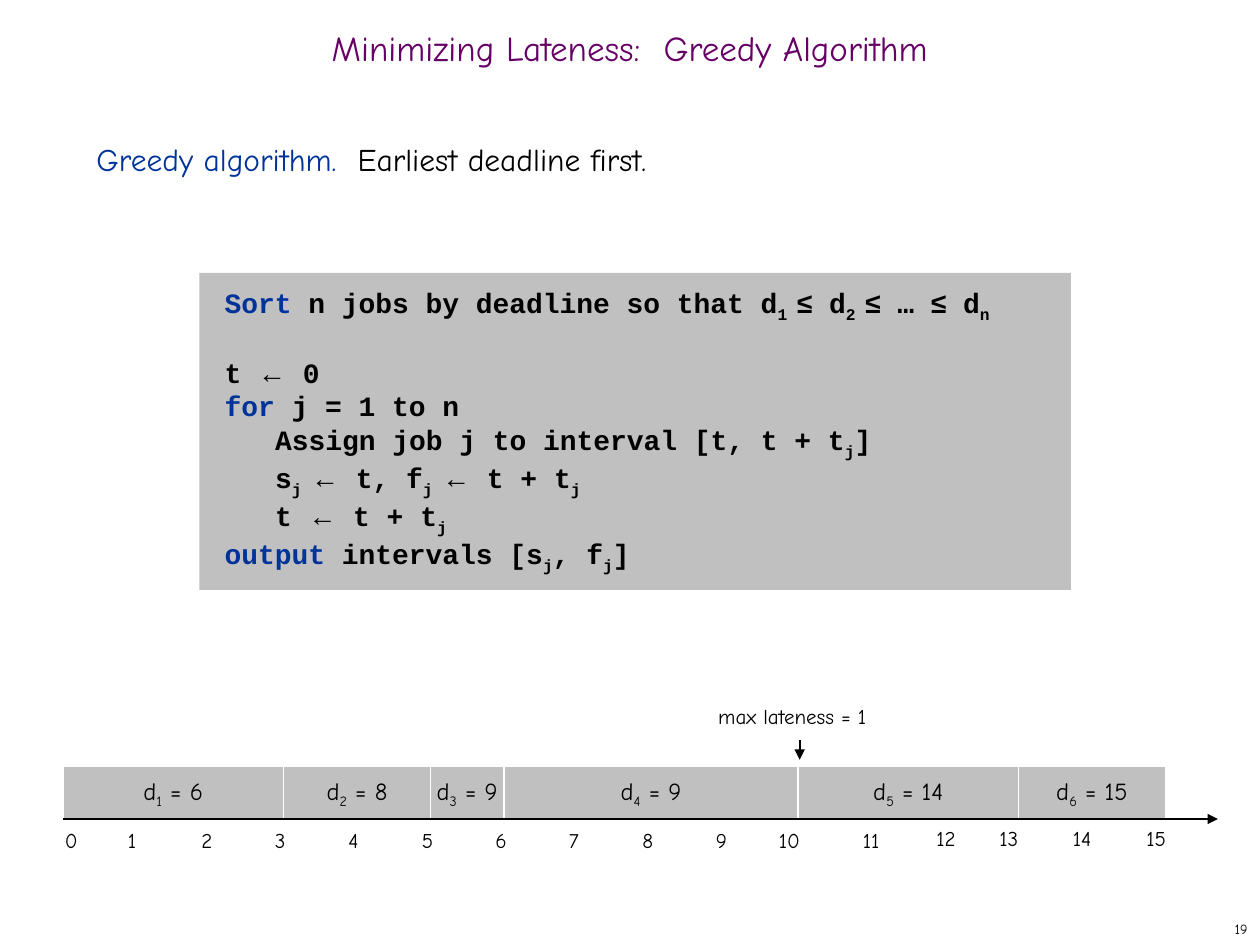
from lxml.etree import SubElement
from pptx import Presentation
from pptx.dml.color import RGBColor
from pptx.enum.shapes import MSO_CONNECTOR, MSO_SHAPE
from pptx.enum.text import MSO_ANCHOR, PP_ALIGN
from pptx.oxml.ns import qn
from pptx.util import Pt

COLORS = {"title": "660066", "key": "003399", "ink": "000000", "gray": "C0C0C0", "white": "FFFFFF"}
HAND, CODE, SYMBOL = "Comic Neue", "Courier New", "Arial"
UNIT = 42
JOBS = [(3, 6), (2, 8), (1, 9), (4, 9), (3, 14), (2, 15)]
TICK_SHIFTS = {0: 6, 10: -6, 13: -6, 14: -6, 15: -6}
CODE_LINES = [
    (0, 0, "*Sort| n jobs by deadline so that d|_1 |≤| d|_2 |≤| … |≤| d|_n"),
    (0, 18, "t |←| 0"),
    (0, 0, "*for| j = 1 to n"),
    (28.8, 0, "Assign job j to interval [t, t + t|_j|]"),
    (28.8, 0, "s|_j |←| t, f|_j |←| t + t|_j"),
    (28.8, 0, "t |←| t + t|_j"),
    (0, 0, "*output| intervals [s|_j|, f|_j|]"),
]


def color(name):
    """Return the palette color of that name."""
    return RGBColor.from_string(COLORS[name])


def write(para, markup, size, font=HAND, ink="ink", align=PP_ALIGN.LEFT):
    """Fill a paragraph from spans split by |, where * marks a keyword and _ a subscript."""
    para.alignment = align
    para.font.size, para.font.name = Pt(size), font
    para.font.color.rgb = color(ink)
    for part in markup.split("|"):
        span = para.add_run()
        span.text = part.lstrip("*_")
        if part.startswith("*"):
            span.font.color.rgb = color("key")
        elif part.startswith("_"):
            span.font._element.set("baseline", "-25000")
        elif part in "≤←":
            span.font.name = SYMBOL


def set_margins(frame, left, top, right, bottom):
    """Set the four insets of a text frame."""
    frame.margin_left, frame.margin_top = Pt(left), Pt(top)
    frame.margin_right, frame.margin_bottom = Pt(right), Pt(bottom)


def add_text(page, box, markup, size, wrap=True, anchor=MSO_ANCHOR.TOP, **style):
    """Add a one-paragraph text box and return it."""
    label = page.shapes.add_textbox(*map(Pt, box))
    frame = label.text_frame
    frame.word_wrap, frame.vertical_anchor = wrap, anchor
    write(frame.paragraphs[0], markup, size, **style)
    return label


def add_block(shapes, box):
    """Add a plain gray rectangle and return it."""
    block = shapes.add_shape(MSO_SHAPE.RECTANGLE, *map(Pt, box))
    block.shadow.inherit = False
    block.fill.solid()
    block.fill.fore_color.rgb = color("gray")
    block.line.fill.background()
    return block


def add_arrow(page, start, end, width):
    """Add a straight black arrow."""
    arrow = page.shapes.add_connector(MSO_CONNECTOR.STRAIGHT, *map(Pt, start + end))
    arrow.line.width = Pt(width)
    arrow.line.color.rgb = color("ink")
    SubElement(arrow.line._get_or_add_ln(), qn("a:tailEnd"), type="triangle")
    SubElement(arrow._element.spPr, qn("a:effectLst"))


def add_heading(page, box):
    """Add the title and the statement of the rule below it."""
    left, top, width, height = box
    title = add_text(page, (left, top, width, 36), "Minimizing Lateness:  Greedy Algorithm", 20,
                     anchor=MSO_ANCHOR.MIDDLE, ink="title", align=PP_ALIGN.CENTER)
    title.text_frame.paragraphs[0].line_spacing = 0.7
    rule = add_text(page, (left + 48, top + 60, 618, height - 60),
                    "*Greedy algorithm.  |Earliest deadline first.", 18)
    rule.text_frame.paragraphs[0].line_spacing = Pt(26)


def add_code(page, box):
    """Add the panel of pseudocode."""
    frame = add_block(page.shapes, box).text_frame
    frame.word_wrap, frame.vertical_anchor = True, MSO_ANCHOR.TOP
    set_margins(frame, 14.4, 7.2, 10.8, 7.2)
    for index, (indent, gap, markup) in enumerate(CODE_LINES):
        para = frame.add_paragraph() if index else frame.paragraphs[0]
        write(para, markup, 16, CODE)
        para.font.bold = True
        para.space_before = Pt(gap)
        para._p.get_or_add_pPr().set("marL", str(Pt(indent)))


def add_jobs(page, left, top, height):
    """Add the scheduled jobs as a row of bars as wide as their durations."""
    row = page.shapes.add_group_shape()
    for number, (duration, deadline) in enumerate(JOBS, 1):
        bar = add_block(row.shapes, (left, top, duration * UNIT, height))
        bar.line.color.rgb = color("white")
        bar.line.width = Pt(0.75)
        frame = bar.text_frame
        frame.word_wrap, frame.vertical_anchor = False, MSO_ANCHOR.MIDDLE
        write(frame.paragraphs[0], f"d|_{number}| = {deadline}", 14, align=PP_ALIGN.CENTER)
        left += duration * UNIT


def add_timeline(page, box):
    """Add the schedule with its time axis, tick labels and lateness marker."""
    left, top, width, height = box
    axis = top + height
    for tick in range(16):
        tick_left = left - 12 + tick * UNIT + TICK_SHIFTS.get(tick, 0)
        tick_top = axis + (1.4 if tick < 12 else 0)
        add_text(page, (tick_left, tick_top, 36, 21.6), str(tick), 12)
    add_jobs(page, left, top, height)
    add_arrow(page, (left, axis), (left + width, axis), 0.75)
    note = add_text(page, (left + 374.4, top - 36.2, 85, 14.4), "max lateness = 1", 12, wrap=False)
    set_margins(note.text_frame, 0, 0, 0, 0)
    add_arrow(page, (left + 421, top - 15.4), (left + 421, top - 3.8), 1.25)


def main():
    """Build the deck and save it."""
    deck = Presentation()
    deck.slide_width, deck.slide_height = Pt(720), Pt(540)
    page = deck.slides.add_slide(deck.slide_layouts[6])
    add_text(page, (570, 522, 150, 18), "19", 8, wrap=False,
             anchor=MSO_ANCHOR.MIDDLE, align=PP_ALIGN.RIGHT)
    add_timeline(page, (36, 438, 660, 30))
    add_code(page, (114, 156, 498, 181.2))
    add_heading(page, (0, 12, 720, 486))
    deck.save("out.pptx")


if __name__ == "__main__":
    main()
